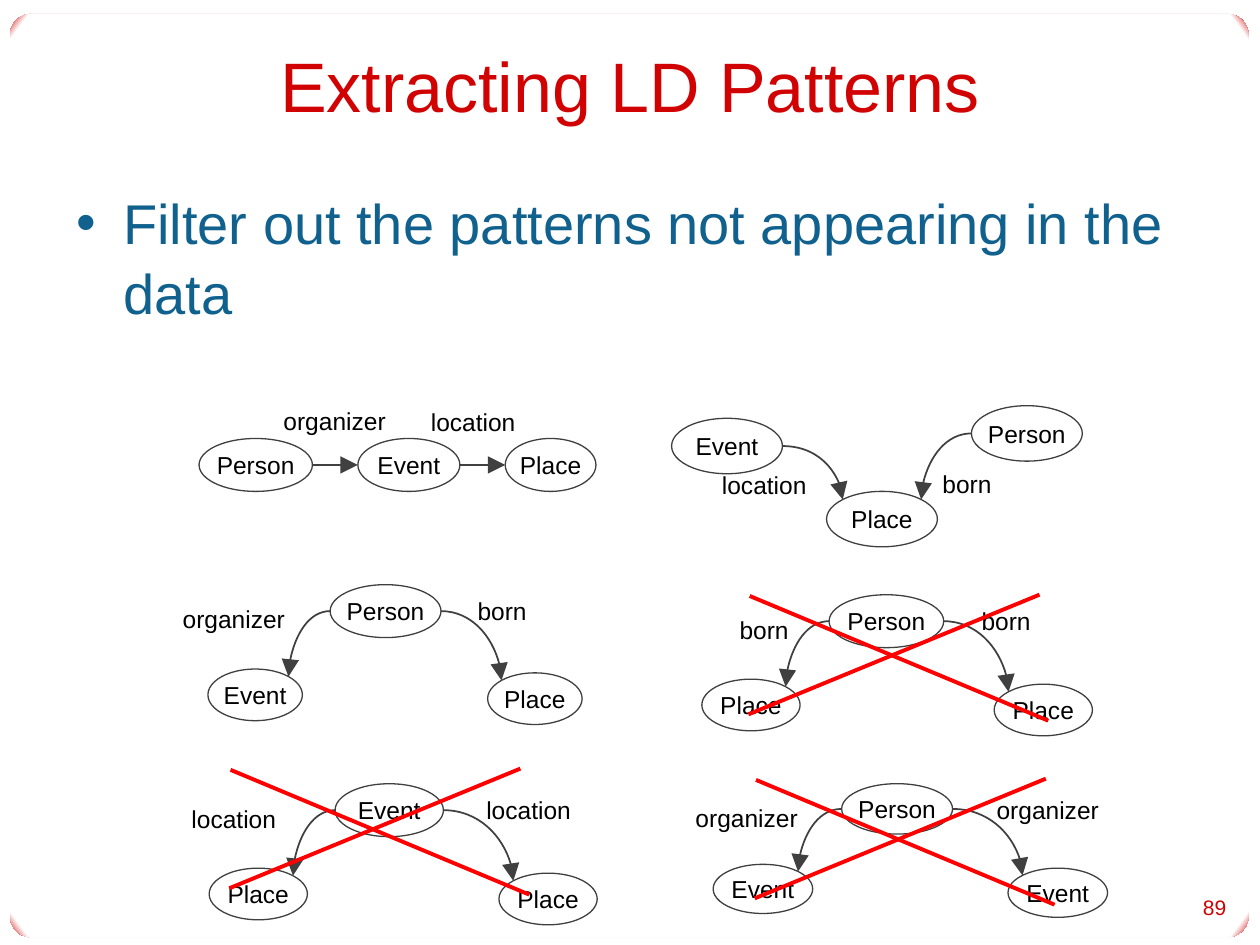
from dataclasses import dataclass
from math import sqrt

from lxml import etree
from pptx import Presentation
from pptx.dml.color import RGBColor
from pptx.enum.shapes import MSO_CONNECTOR, MSO_SHAPE
from pptx.enum.text import MSO_ANCHOR, PP_ALIGN
from pptx.oxml import parse_xml
from pptx.oxml.ns import nsdecls, qn
from pptx.util import Inches, Pt

ROUNDED, ELLIPSE = MSO_SHAPE.ROUNDED_RECTANGLE, MSO_SHAPE.OVAL
STRAIGHT, CURVE = MSO_CONNECTOR.STRAIGHT, MSO_CONNECTOR.CURVE
LEFT, CENTER, RIGHT = PP_ALIGN.LEFT, PP_ALIGN.CENTER, PP_ALIGN.RIGHT
TOP, MIDDLE = MSO_ANCHOR.TOP, MSO_ANCHOR.MIDDLE

WHITE = RGBColor(0xFF, 0xFF, 0xFF)
BLACK = RGBColor(0, 0, 0)
TITLE_RED = RGBColor(0xD1, 0x02, 0x02)
BODY_BLUE = RGBColor(0x11, 0x61, 0x8F)
OUTLINE = RGBColor(0x3F, 0x3F, 0x3F)
ARROW = RGBColor(0x40, 0x40, 0x40)
CROSS_RED = RGBColor(0xFF, 0, 0)
FONT = "Arial"


@dataclass(frozen=True)
class Node:
    name: str
    left: float
    top: float
    width: float
    height: float

    @property
    def center_x(self) -> float:
        return self.left + self.width / 2

    @property
    def center_y(self) -> float:
        return self.top + self.height / 2


@dataclass(frozen=True)
class Label:
    text: str
    left: float
    top: float


@dataclass(frozen=True)
class Pattern:
    nodes: tuple[Node, ...]
    edges: tuple[tuple[int, int], ...]
    labels: tuple[Label, ...]
    cross: tuple[float, float] | None = None


FORK = ((0, 1), (0, 2))
PATTERNS = (
    Pattern(
        (Node("Person", 1.58, 3.48, 0.9, 0.42), Node("Event", 2.84, 3.48, 0.81, 0.42),
         Node("Place", 4.01, 3.48, 0.72, 0.42)),
        ((0, 1), (1, 2)),
        (Label("organizer", 2.25, 3.22), Label("location", 3.42, 3.23)),
    ),
    Pattern(
        (Node("Place", 6.56, 3.9, 0.88, 0.44), Node("Event", 5.33, 3.32, 0.88, 0.44),
         Node("Person", 7.71, 3.22, 0.88, 0.44)),
        ((1, 0), (2, 0)),
        (Label("location", 5.73, 3.73), Label("born", 7.48, 3.72)),
    ),
    Pattern(
        (Node("Person", 2.62, 4.64, 0.88, 0.42), Node("Event", 1.65, 5.31, 0.75, 0.41),
         Node("Place", 3.87, 5.34, 0.75, 0.41)),
        FORK,
        (Label("organizer", 1.45, 4.79), Label("born", 3.79, 4.73)),
    ),
    Pattern(
        (Node("Person", 6.58, 4.72, 0.91, 0.42), Node("Place", 5.57, 5.39, 0.78, 0.41),
         Node("Place", 7.89, 5.43, 0.78, 0.41)),
        FORK,
        (Label("born", 5.87, 4.88), Label("born", 7.79, 4.81)),
        (5.95, 4.73),
    ),
    Pattern(
        (Node("Event", 2.66, 6.22, 0.86, 0.42), Node("Place", 1.66, 6.89, 0.78, 0.41),
         Node("Place", 3.96, 6.93, 0.78, 0.41)),
        FORK,
        (Label("location", 1.52, 6.38), Label("location", 3.86, 6.31)),
        (1.83, 6.11),
    ),
    Pattern(
        (Node("Person", 6.68, 6.22, 0.88, 0.4), Node("Event", 5.66, 6.86, 0.79, 0.39),
         Node("Event", 8, 6.89, 0.79, 0.39)),
        FORK,
        (Label("organizer", 5.52, 6.37), Label("organizer", 7.91, 6.31)),
        (6, 6.19),
    ),
)


def write(shape, text: str, size: float, color: RGBColor, align=LEFT, anchor=TOP,
          inset_x: float = 0.1, inset_y: float = 0.05):
    frame = shape.text_frame
    frame.text = text
    frame.word_wrap = True
    frame.vertical_anchor = anchor
    frame.margin_left = frame.margin_right = Inches(inset_x)
    frame.margin_top = frame.margin_bottom = Inches(inset_y)
    para = frame.paragraphs[0]
    para.alignment = align
    font = para.runs[0].font
    font.name, font.size, font.color.rgb = FONT, Pt(size), color
    return para


def add_text(page, left: float, top: float, width: float, height: float, *args, **options):
    box = page.shapes.add_textbox(Inches(left), Inches(top), Inches(width), Inches(height))
    return write(box, *args, **options)


def add_line(page, kind, start: tuple[float, float], end: tuple[float, float],
             color: RGBColor, weight: float):
    line = page.shapes.add_connector(kind, *map(Inches, start + end))
    line.line.color.rgb = color
    line.line.width = Pt(weight)
    etree.SubElement(line._element.spPr, qn("a:effectLst"))
    return line


def add_edge(page, source: Node, target: Node) -> None:
    side = 1 if source.center_x < target.center_x else -1
    start = (source.center_x + side * source.width / 2, source.center_y)
    bent = target.top > source.top
    reach = 1 / sqrt(2) if bent else 1
    drop = target.height / 2 * reach if bent else 0
    end = (target.center_x - side * target.width / 2 * reach, target.center_y - drop)
    line = add_line(page, CURVE, start, end, ARROW, 1)
    properties = line._element.spPr
    if bent:
        properties.find(qn("a:prstGeom")).set("prst", "curvedConnector2")
    head = etree.SubElement(properties.find(qn("a:ln")), qn("a:tailEnd"))
    head.set("type", "triangle")
    head.set("w", "lg")
    head.set("len", "lg")


def add_node(page, node: Node) -> None:
    oval = page.shapes.add_shape(ELLIPSE, Inches(node.left), Inches(node.top),
                                 Inches(node.width), Inches(node.height))
    oval.shadow.inherit = False
    oval.fill.solid()
    oval.fill.fore_color.rgb = WHITE
    oval.line.color.rgb = OUTLINE
    oval.line.width = Pt(0.75)
    write(oval, node.name, 14, BLACK, CENTER, MIDDLE, inset_x=0)


def add_cross(page, left: float, top: float) -> None:
    add_line(page, STRAIGHT, (left, top), (left + 2.37, top + 0.99), CROSS_RED, 2.25)
    add_line(page, STRAIGHT, (left + 2.3, top - 0.01), (left - 0.01, top + 0.94), CROSS_RED, 2.25)


def add_frame(page) -> None:
    frame = page.shapes.add_shape(ROUNDED, Inches(0.08), Inches(0.11), Inches(9.83), Inches(7.33))
    frame.adjustments[0] = 0.023
    frame.shadow.inherit = False
    frame.line.fill.background()
    frame.fill.gradient()
    stops = "".join(f'<a:gs pos="{position}"><a:srgbClr val="{color}"/></a:gs>'
                    for position, color in ((0, WHITE), (98000, WHITE), (100000, TITLE_RED)))
    gradient = parse_xml(
        f'<a:gradFill {nsdecls("a")} rotWithShape="1"><a:gsLst>{stops}</a:gsLst><a:path path="circle">'
        '<a:fillToRect l="50000" t="50000" r="50000" b="50000"/></a:path></a:gradFill>')
    properties = frame._element.spPr
    properties.replace(properties.find(qn("a:gradFill")), gradient)


def add_bullet(para) -> None:
    properties = para._p.get_or_add_pPr()
    properties.set("marL", str(Inches(0.37)))
    properties.set("indent", str(-Inches(0.37)))
    color = etree.SubElement(properties, qn("a:buClr"))
    etree.SubElement(color, qn("a:srgbClr")).set("val", str(BODY_BLUE))
    etree.SubElement(properties, qn("a:buFont")).set("typeface", FONT)
    etree.SubElement(properties, qn("a:buChar")).set("char", "•")


def main() -> None:
    """Build the slide of extracted and filtered patterns."""
    deck = Presentation()
    deck.slide_width, deck.slide_height = Inches(10), Inches(7.5)
    page = deck.slides.add_slide(deck.slide_layouts[6])
    add_frame(page)
    add_text(page, 0.5, 0.17, 9, 1, "Extracting LD Patterns", 40, TITLE_RED, CENTER, MIDDLE)
    body = add_text(page, 0.51, 1.42, 8.99, 5.5,
                    "Filter out the patterns not appearing in the data", 32, BODY_BLUE)
    add_bullet(body)
    body.line_spacing = 1.05
    add_text(page, 9.25, 7.04, 0.58, 0.32, "89", 12, TITLE_RED, RIGHT, MIDDLE)
    for pattern in PATTERNS:
        for node in pattern.nodes:
            add_node(page, node)
        for source, target in pattern.edges:
            add_edge(page, pattern.nodes[source], pattern.nodes[target])
        for label in pattern.labels:
            add_text(page, label.left, label.top, 0.94, 0.26, label.text, 14, BLACK,
                     inset_x=0, inset_y=0)
        if pattern.cross:
            add_cross(page, *pattern.cross)
    deck.save("out.pptx")


if __name__ == "__main__":
    main()
